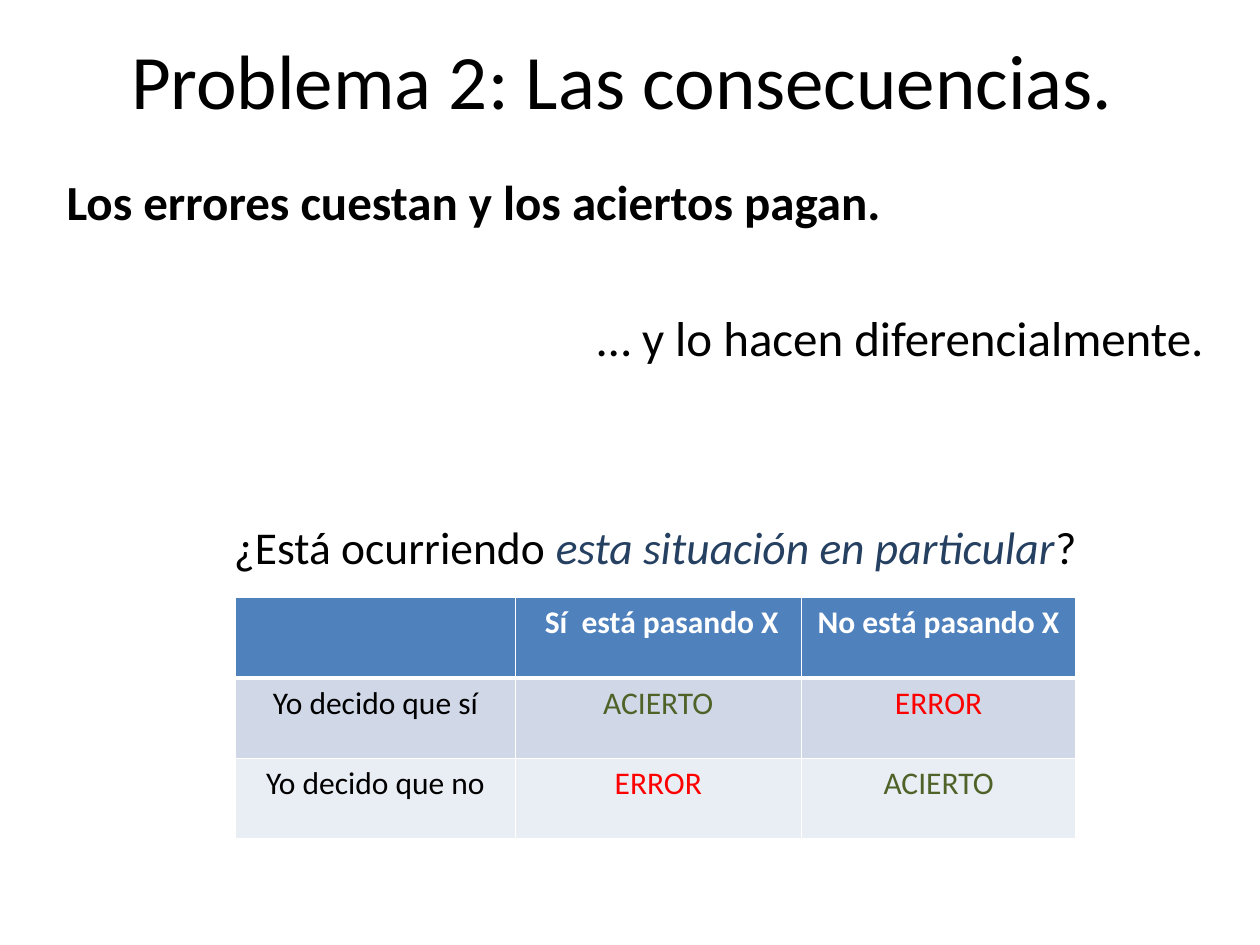
from lxml import etree
from pptx import Presentation
from pptx.dml.color import RGBColor
from pptx.enum.text import MSO_ANCHOR, PP_ALIGN
from pptx.oxml.ns import qn
from pptx.util import Inches, Pt

LEFT, CENTER, RIGHT = PP_ALIGN.LEFT, PP_ALIGN.CENTER, PP_ALIGN.RIGHT
TOP, MIDDLE = MSO_ANCHOR.TOP, MSO_ANCHOR.MIDDLE
BLACK = RGBColor(0x00, 0x00, 0x00)
WHITE = RGBColor(0xFF, 0xFF, 0xFF)
NAVY = RGBColor(0x25, 0x40, 0x61)
GREEN = RGBColor(0x4F, 0x62, 0x28)
RED = RGBColor(0xFF, 0x00, 0x00)
HEADER = RGBColor(0x4F, 0x81, 0xBD)
BAND_DARK = RGBColor(0xD0, 0xD8, 0xE8)
BAND_LIGHT = RGBColor(0xE9, 0xED, 0xF4)

prs = Presentation()
prs.slide_width, prs.slide_height = Inches(10), Inches(7.5)
s = prs.slides.add_slide(prs.slide_layouts[6])


def add_text(box, lines, size, anchor=TOP):
    """Each line is (runs, alignment, bold, space before in points)."""
    tf = s.shapes.add_textbox(*map(Inches, box)).text_frame
    tf.word_wrap = True
    tf.vertical_anchor = anchor
    for i, (runs, align, bold, before) in enumerate(lines):
        p = tf.add_paragraph() if i else tf.paragraphs[0]
        p.alignment, p.space_before = align, Pt(before)
        p.font.name, p.font.size, p.font.bold = "Calibri", Pt(size), bold
        p.font.color.rgb = BLACK
        for text in runs:
            p.add_run().text = text
    return tf


def set_border(cell, side, width):
    ln = etree.SubElement(cell._tc.get_or_add_tcPr(), qn(f"a:ln{side}"), w=str(Pt(width)))
    fill = etree.SubElement(ln, qn("a:solidFill"))
    etree.SubElement(fill, qn("a:srgbClr"), val=str(WHITE))


# Title and statements
add_text((0.44, 0, 9, 1.25),
         [(["Problema 2: Las consecuencias."], CENTER, False, 0)], 44, MIDDLE)
add_text((0.43, 1.31, 9.22, 4.95),
         [(["Los errores cuestan y los aciertos pagan."], LEFT, True, 5.6),
          (["… y lo hacen diferencialmente."], RIGHT, False, 44)], 28)

# Decision table
rows = [
    ["", " Sí  está pasando X", "No está pasando X"],
    ["Yo decido que sí", "ACIERTO", "ERROR"],
    ["Yo decido que no", "ERROR", "ACIERTO"],
]
fills = [HEADER, BAND_DARK, BAND_LIGHT]
outcome_colors = {"ACIERTO": GREEN, "ERROR": RED}
table = s.shapes.add_table(3, 3, Inches(1.87), Inches(4.74),
                           Inches(6.67), Inches(1.92)).table
for col, width in zip(table.columns, (2.22, 2.27, 2.18)):
    col.width = Inches(width)
for r, texts in enumerate(rows):
    table.rows[r].height = Inches(0.64)
    for c, text in enumerate(texts):
        cell = table.cell(r, c)
        for side in "LRTB":
            thick = (r, side) in ((0, "B"), (1, "T"))
            set_border(cell, side, 3 if thick else 1)
        cell.fill.solid()
        cell.fill.fore_color.rgb = fills[r]
        p = cell.text_frame.paragraphs[0]
        p.text = text
        p.alignment = CENTER
        p.font.name, p.font.size, p.font.bold = "Calibri", Pt(18), r == 0
        p.font.color.rgb = WHITE if r == 0 else outcome_colors.get(text, BLACK)

# Question above the table, with its key phrase stressed
question = ["¿Está ocurriendo ", "esta situación en particular", "?"]
tf = add_text((0.95, 4.07, 8.5, 0.54), [(question, CENTER, False, 0)], 26)
phrase = tf.paragraphs[0].runs[1].font
phrase.italic = True
phrase.color.rgb = NAVY

prs.save("out.pptx")
